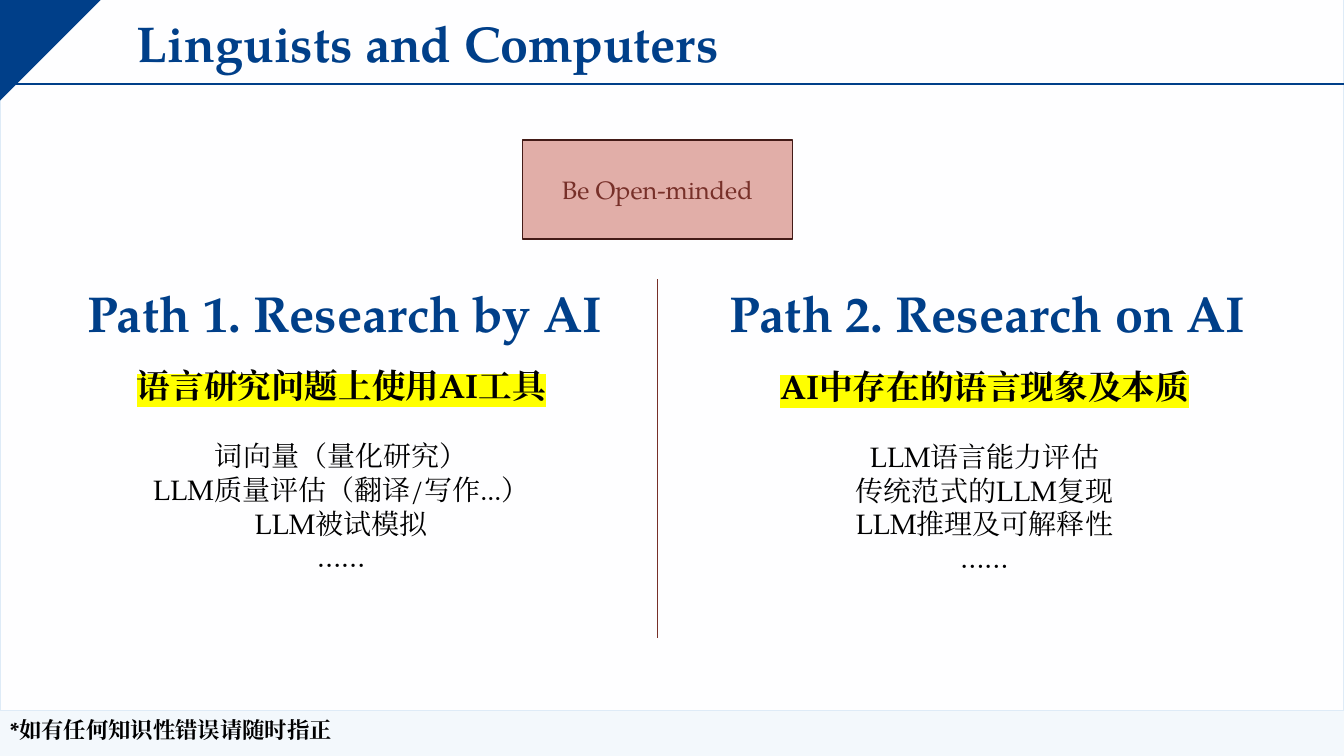
from lxml import etree
from pptx import Presentation
from pptx import util as u
from pptx.dml import color
from pptx.enum import shapes, text
from pptx.oxml import ns

FONT = "TeX Gyre Pagella"
COLORS = {
    "navy": "003F89", "backdrop": "F3F8FC", "panel": "FEFEFF", "edge": "DEEBF7",
    "rose": "E1AEA8", "maroon": "773029", "dark": "431B17", "ink": "000000",
    "marker": "FFFF00",
}
TITLE = {"size": u.Pt(36), "bold": True, "color": "navy"}
LEAD = {"size": u.Pt(24), "bold": True, "color": "ink", "marker": "marker"}
TOPIC = {"size": u.Pt(20), "bold": False, "color": "ink"}
NOTE = {"size": u.Pt(16), "bold": True, "color": "ink"}
BADGE = {"size": u.Pt(18), "bold": False, "color": "maroon"}
PATHS = [
    ("Path 1. Research by AI", (0.77, 2.75, 5.42, 0.71), (0.57, 3.57, 5.63, 2.19),
     "语言研究问题上使用AI工具",
     ["词向量（量化研究）", "LLM质量评估（翻译/写作...）", "LLM被试模拟", "……"]),
    ("Path 2. Research on AI", (7.14, 2.75, 5.83, 0.71), (6.95, 3.58, 5.63, 2.19),
     "AI中存在的语言现象及本质",
     ["LLM语言能力评估", "传统范式的LLM复现", "LLM推理及可解释性", "……"]),
]


def rgb(name):
    """Return the named colour."""
    return color.RGBColor.from_string(COLORS[name])


def inches(values):
    """Turn numbers into lengths."""
    return [u.Inches(value) for value in values]


def add_span(para, words, style):
    """Add styled words to a paragraph."""
    span = para.add_run()
    span.text = words
    span.font.name = FONT
    for key in ("size", "bold"):
        setattr(span.font, key, style[key])
    span.font.color.rgb = rgb(style["color"])
    latin = span.font._element.find(ns.qn("a:latin"))
    east = etree.Element(ns.qn("a:ea"), typeface=FONT)
    latin.addnext(east)
    if "marker" in style:
        highlight = etree.Element(ns.qn("a:highlight"))
        etree.SubElement(highlight, ns.qn("a:srgbClr"), val=COLORS[style["marker"]])
        latin.addprevious(highlight)


def add_words(page, place, lines, align=text.PP_ALIGN.LEFT, gap=0):
    """Add a text box, with a gap below its first line."""
    box = page.shapes.add_textbox(*inches(place))
    frame = box.text_frame
    frame.word_wrap = True
    frame.auto_size = text.MSO_AUTO_SIZE.SHAPE_TO_FIT_TEXT
    for index, (words, style) in enumerate(lines):
        para = frame.add_paragraph() if index else frame.paragraphs[0]
        para.alignment = align
        if index == 1:
            para.space_before = u.Pt(gap)
        add_span(para, words, style)


def paint(shape, fill, line=None):
    """Set the fill and outline of a shape."""
    shape.shadow.inherit = False
    shape.fill.solid()
    shape.fill.fore_color.rgb = rgb(fill)
    if line:
        shape.line.color.rgb = rgb(line)
        shape.line.width = u.Pt(1)
    else:
        shape.line.fill.background()


def add_box(page, place, fill, line):
    """Add an outlined rectangle."""
    box = page.shapes.add_shape(shapes.MSO_SHAPE.RECTANGLE, *inches(place))
    paint(box, fill, line)
    return box


def add_rule(page, ends, line, width):
    """Add a straight line."""
    rule = page.shapes.add_connector(shapes.MSO_CONNECTOR.STRAIGHT, *inches(ends))
    rule.line.color.rgb = rgb(line)
    rule.line.width = u.Pt(width)
    etree.SubElement(rule._element.spPr, ns.qn("a:effectLst"))


def add_corner(page):
    """Add the slanted corner block."""
    builder = page.shapes.build_freeform(0, 0, scale=u.Inches(1))
    builder.add_line_segments([(0, 0.83), (0.5, 0.83), (0.67, 0)], close=True)
    paint(builder.convert_to_shape(), "navy")


def add_badge(page, place, words):
    """Add the framed motto."""
    box = add_box(page, place, "rose", "dark")
    box.text_frame.vertical_anchor = text.MSO_ANCHOR.MIDDLE
    para = box.text_frame.paragraphs[0]
    para.alignment = text.PP_ALIGN.CENTER
    add_span(para, words, BADGE)


def main():
    """Build and save the slide."""
    deck = Presentation()
    deck.slide_width, deck.slide_height = inches((13.33, 7.5))
    page = deck.slides.add_slide(deck.slide_layouts[6])
    page.background.fill.solid()
    page.background.fill.fore_color.rgb = rgb("backdrop")
    add_box(page, (0, -0.02, 13.33, 7.07), "panel", "edge")
    add_rule(page, (0, 0.83, 13.33, 0.83), "navy", 1.5)
    add_corner(page)
    add_words(page, (1.26, 0.07, 8.8, 0.71), [("Linguists and Computers", TITLE)])
    add_badge(page, (5.18, 1.39, 2.68, 0.98), "Be Open-minded")
    add_words(page, (0, 7.06, 3.91, 0.37), [("*如有任何知识性错误请随时指正", NOTE)])
    add_rule(page, (6.52, 2.77, 6.52, 6.33), "maroon", 1)
    for heading, heading_place, place, lead, topics in PATHS:
        add_words(page, heading_place, [(heading, TITLE)])
        lines = [(lead, LEAD)] + [(topic, TOPIC) for topic in topics]
        add_words(page, place, lines, text.PP_ALIGN.CENTER, 24)
    deck.save("out.pptx")


if __name__ == "__main__":
    main()
